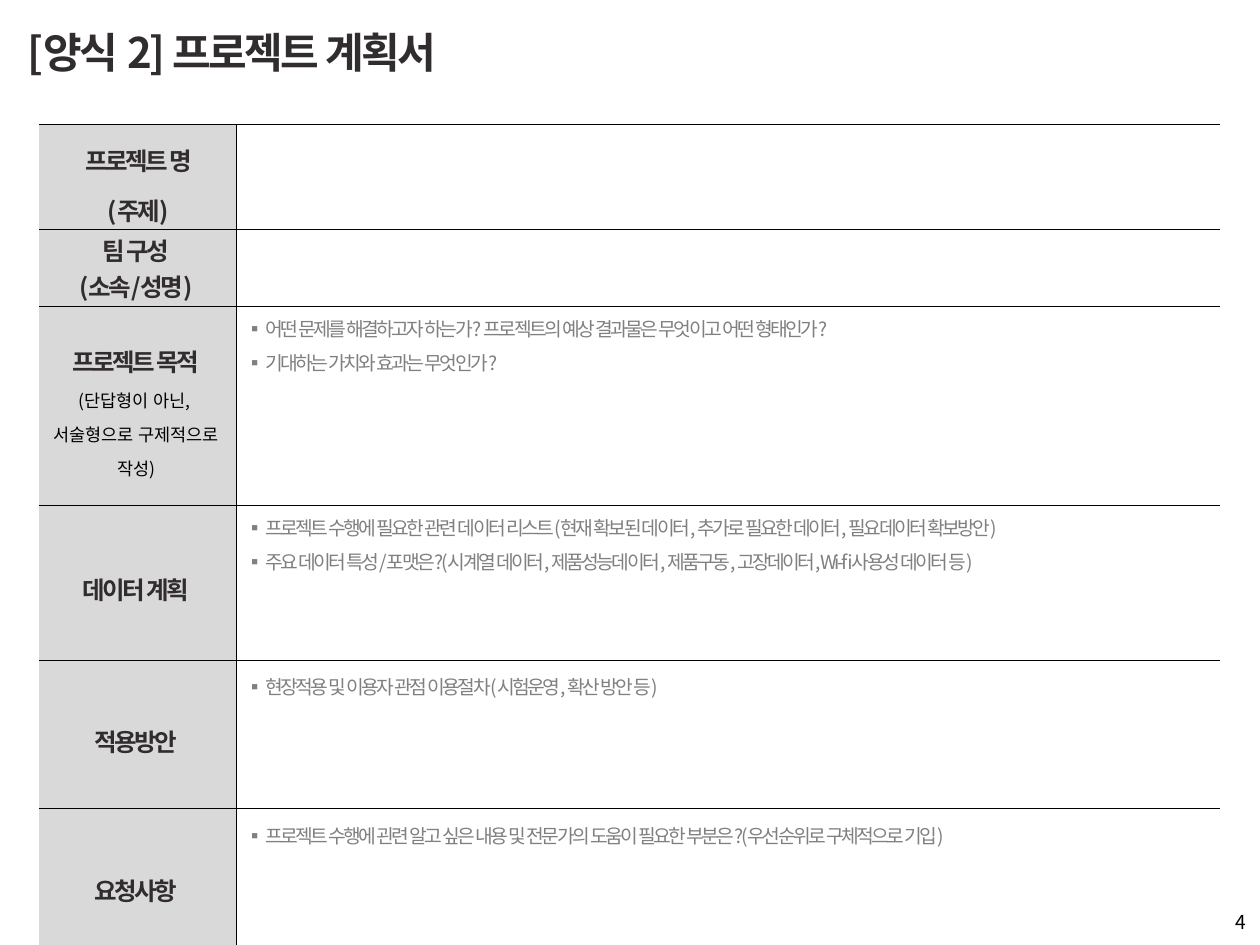
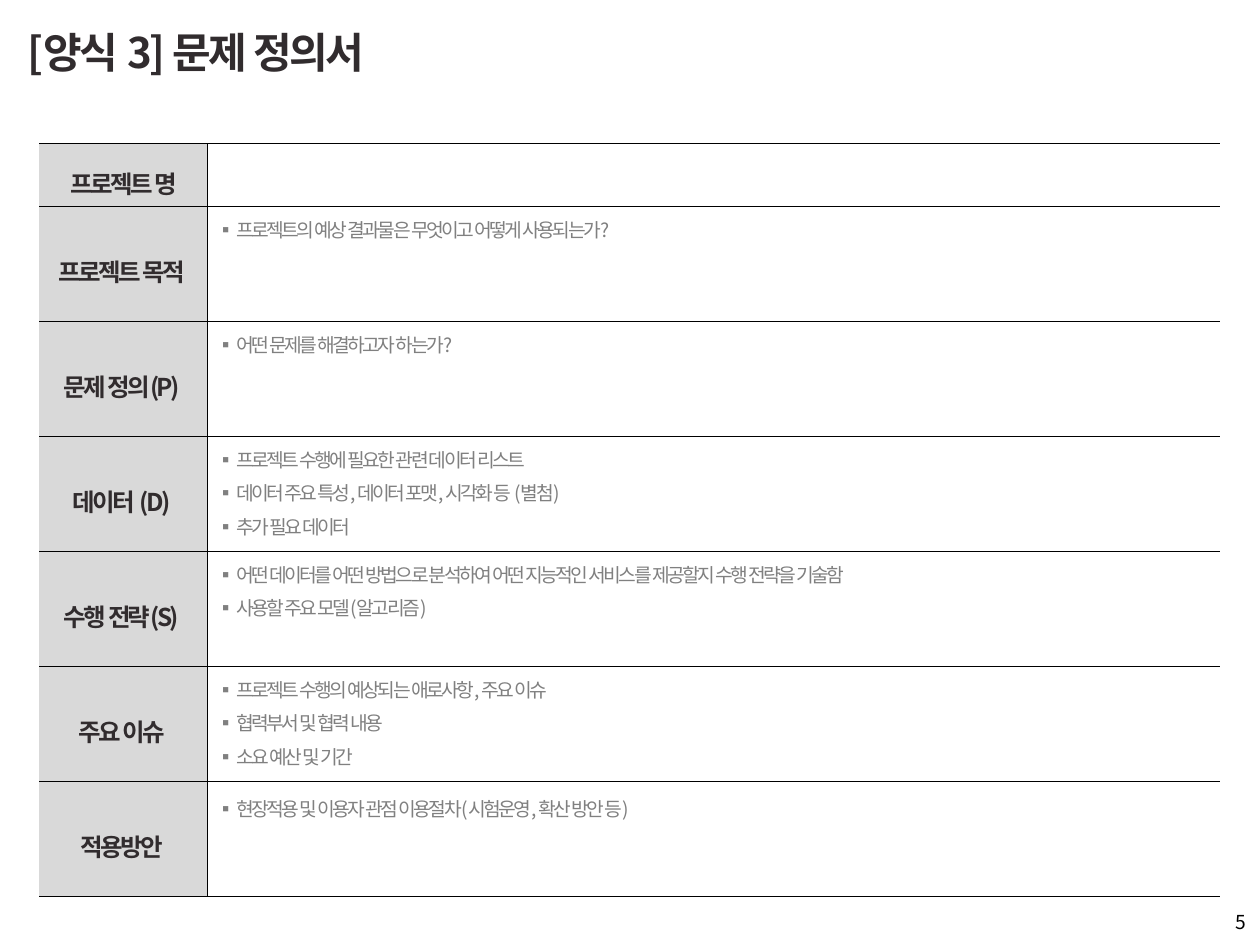
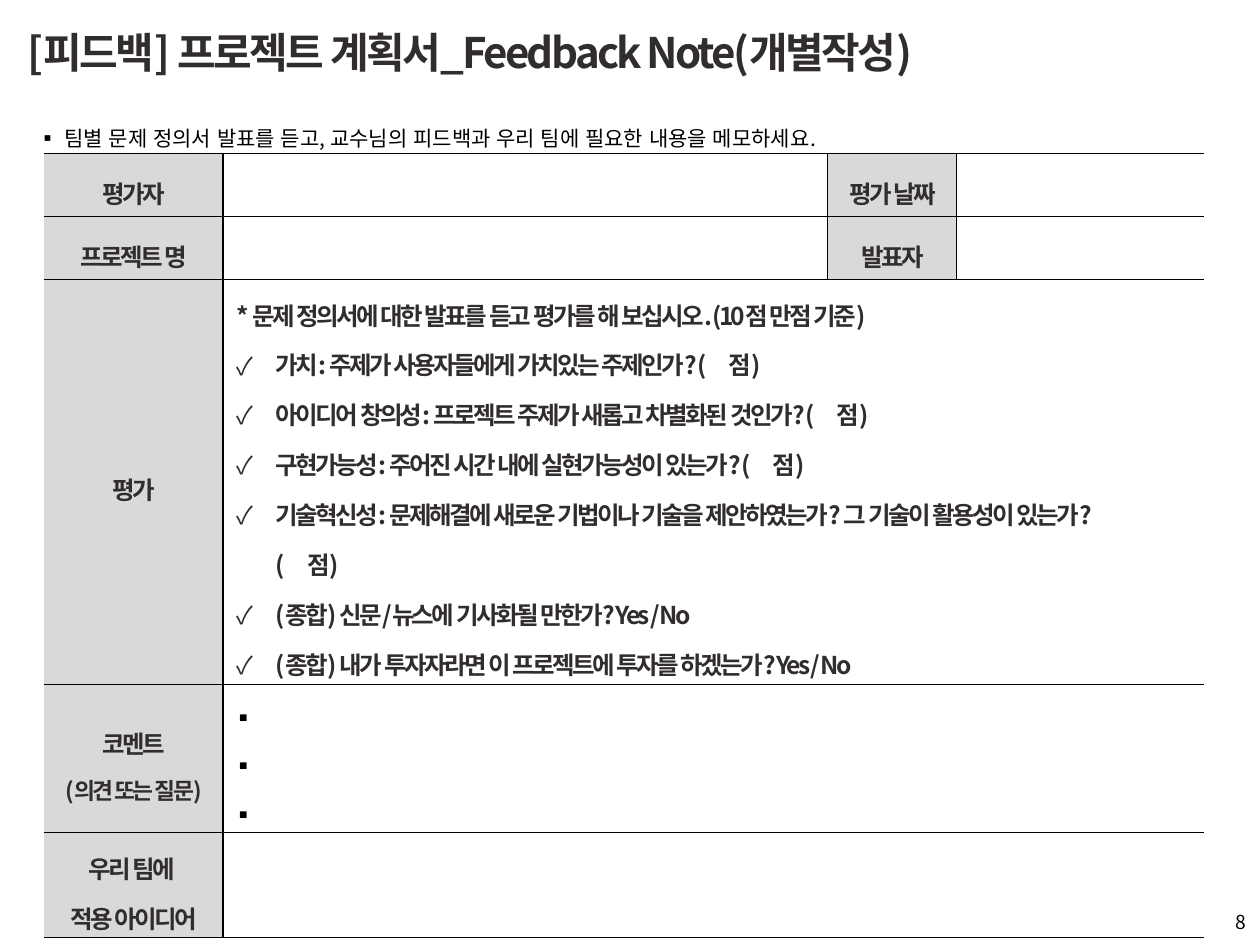
from lxml import etree
from pptx import Presentation
from pptx.dml.color import RGBColor
from pptx.enum import text as t
from pptx.oxml import ns
from pptx.util import Inches, Pt

FONT = "Noto Sans CJK KR"
INK, BLACK, GRAY, BAND = "312C2E", "000000", "808080", "D9D9D9"
LEFT, MID, RIGHT = t.PP_ALIGN.LEFT, t.PP_ALIGN.CENTER, t.PP_ALIGN.RIGHT
TIGHT = -1.5


def tint(code):
    return RGBColor.from_string(code)


def node(parent, tag, **attrs):
    return etree.SubElement(parent, ns.qn(tag), attrs)


def write(para, words, size=14, color=INK, bold=False, track=0, align=LEFT,
          gap=None, after=None, left=0, hang=0, mark=None):
    """Fill one paragraph; track is letter spacing in points, \\n breaks a line."""
    para.alignment = align
    if gap:
        para.line_spacing = gap
    if after:
        para.space_after = Pt(after)
    props = para._p.get_or_add_pPr()
    props.set("marL", str(Inches(left)))
    props.set("indent", str(Inches(hang)))
    if mark:
        node(props, "a:buFont", typeface=FONT)
        node(props, "a:buChar", char=mark)
    for i, line in enumerate(words.split("\n")):
        if i:
            para.add_line_break()
        run = para.add_run()
        run.text = line
        font = run.font
        font.size, font.bold, font.name = Pt(size), bold, FONT
        font.color.rgb = tint(color)
        style = run._r.get_or_add_rPr()
        style.set("lang", "ko-KR")
        style.set("kern", "0")
        style.set("spc", str(int(track * 100)))
        node(style, "a:ea", typeface=FONT)


def fill(frame, paras):
    """Write (words, format) pairs as the paragraphs of a frame."""
    for i, (words, form) in enumerate(paras):
        para = frame.add_paragraph() if i else frame.paragraphs[0]
        write(para, words, **form)


def label(*lines, **form):
    base = dict(bold=True, track=TIGHT, align=MID, gap=1.35)
    return [(line, {**base, **form}) for line in lines]


def head(*lines, **form):
    return label(*lines, **{"gap": 1.4, "left": 0.04, **form})


def ask(*lines, gap=1.2):
    form = dict(size=11, color=GRAY, track=TIGHT, gap=gap)
    return [("▪ " + line, form) for line in lines]


def edge(cell, sides):
    """Draw thin black lines on the named sides and none on the others."""
    props = cell._tc.get_or_add_tcPr()
    for side in "LRTB":
        line = node(props, "a:ln" + side, w=str(Pt(0.75)))
        if side in sides:
            paint = node(line, "a:solidFill")
            node(paint, "a:srgbClr", val=BLACK)
        else:
            node(line, "a:noFill")


def grid(slide, box, cols, rows, mid=False):
    """Add a form; a row with fewer cells spans its last one to the right edge."""
    high = sum(row[0] for row in rows)
    frame = slide.shapes.add_table(len(rows), len(cols),
                                   *map(Inches, (*box, sum(cols), high)))
    table = frame.table
    table.first_row = table.horz_banding = False
    for col, wide in zip(table.columns, cols):
        col.width = Inches(wide)
    last = len(cols) - 1
    for r, (tall, *cells) in enumerate(rows):
        table.rows[r].height = Inches(tall)
        end = len(cells) - 1
        if end < last:
            table.cell(r, end).merge(table.cell(r, last))
        for c in range(len(cols)):
            cell = table.cell(r, c)
            edge(cell, "TB" + "L" * (0 < c <= end) + "R" * (c < end))
            tag = c % 2 == 0 and c <= end
            if tag:
                cell.fill.solid()
                cell.fill.fore_color.rgb = tint(BAND)
            else:
                cell.fill.background()
            cell.margin_left = Inches(0.07)
            cell.margin_right = Inches(0.1 if tag else 0.07)
            cell.margin_top = cell.margin_bottom = Inches(0.02)
            if tag or mid:
                cell.vertical_anchor = t.MSO_ANCHOR.MIDDLE
            if c <= end:
                fill(cell.text_frame, cells[c])


def place(shape, box):
    shape.left, shape.top, shape.width, shape.height = map(Inches, box)


def note(slide, box, words, **form):
    frame = slide.shapes.add_textbox(*map(Inches, box)).text_frame
    frame.word_wrap = True
    write(frame.paragraphs[0], words, **form)
    return frame


def page(deck, title, number):
    slide = deck.slides.add_slide(deck.slide_layouts[5])
    name = slide.shapes.title
    place(name, (0.12, 0.13, 7.61, 0.56))
    frame = name.text_frame
    frame.auto_size = t.MSO_AUTO_SIZE.NONE
    frame.vertical_anchor = t.MSO_ANCHOR.MIDDLE
    write(frame.paragraphs[0], title, size=24, bold=True, track=TIGHT)
    foot = note(slide, (9.49, 7.12, 0.5, 0.4), str(number),
                size=11, color=BLACK, align=RIGHT)
    foot.vertical_anchor = t.MSO_ANCHOR.MIDDLE
    return slide


def plan(deck):
    slide = page(deck, "[양식 2] 프로젝트 계획서", 4)
    hint = label("(단답형이 아닌, ", "서술형으로 구제적으로 작성)",
                 size=10, color=BLACK, bold=False, track=0)
    grid(slide, (0.31, 0.99), (1.57, 7.8), [
        (0.83, head("프로젝트 명\n(주제)"), []),
        (0.61, label("팀 구성", "(소속/성명)", gap=None), []),
        (1.58, label("프로젝트 목적") + hint,
         ask("어떤 문제를 해결하고자 하는가? 프로젝트의 예상 결과물은 무엇이고 어떤 형태인가?",
             "기대하는 가치와 효과는 무엇인가?")),
        (1.23, label("데이터 계획"),
         ask("프로젝트 수행에 필요한 관련 데이터 리스트(현재 확보된 데이터, "
             "추가로 필요한 데이터, 필요데이터 확보방안)",
             "주요 데이터 특성/포맷은?(시계열 데이터, 제품성능데이터, 제품구동, "
             "고장데이터, Wi-fi 사용성 데이터 등)")),
        (1.18, label("적용방안"),
         ask("현장적용 및 이용자 관점 이용절차(시험운영, 확산 방안 등)", gap=1.35)),
        (1.18, label("요청사항"),
         ask("프로젝트 수행에 괸련 알고 싶은 내용 및 전문가의 도움이 필요한 "
             "부분은?(우선순위로 구체적으로 기입)", gap=1.35)),
    ])


def define(deck):
    slide = page(deck, "[양식 3] 문제 정의서", 5)
    parts = [
        (label("프로젝트 목적"),
         ask("프로젝트의 예상 결과물은 무엇이고 어떻게 사용되는가?")),
        (label("문제 정의(P)"), ask("어떤 문제를 해결하고자 하는가?")),
        (label("데이터 (D)"),
         ask("프로젝트 수행에 필요한 관련 데이터 리스트",
             "데이터 주요 특성, 데이터 포맷, 시각화 등 (별첨)",
             "추가 필요 데이터")),
        (label("수행 전략(S)"),
         ask("어떤 데이터를 어떤 방법으로 분석하여 어떤 지능적인 서비스를 "
             "제공할지 수행 전략을 기술함",
             "사용할 주요 모델(알고리즘)")),
        (label("주요 이슈"),
         ask("프로젝트 수행의 예상되는 애로사항, 주요 이슈",
             "협력부서 및 협력 내용", "소요 예산 및 기간")),
        (label("적용방안"),
         ask("현장적용 및 이용자 관점 이용절차(시험운영, 확산 방안 등)", gap=1.35)),
    ]
    rows = [(0.5, head("프로젝트 명"), [])]
    rows += [(5.48 / len(parts), *part) for part in parts]
    grid(slide, (0.31, 1.14), (1.34, 8.03), rows)


def review(deck):
    slide = page(deck, "[피드백] 프로젝트 계획서_Feedback Note(개별작성)", 8)
    intro = note(slide, (0.2, 0.85, 8.95, 0.4),
                 "▪ 팀별 문제 정의서 발표를 듣고, 교수님의 피드백과 "
                 "우리 팀에 필요한 내용을 메모하세요.",
                 size=12, color=BLACK, gap=1.5, after=3)
    intro.auto_size = t.MSO_AUTO_SIZE.SHAPE_TO_FIT_TEXT
    lead = head("* 문제 정의서에 대한 발표를 듣고 평가를 해 보십시오. (10점 만점 기준)",
                align=LEFT)
    checks = head(
        "가치: 주제가 사용자들에게 가치있는 주제인가? (　점)",
        "아이디어 창의성: 프로젝트 주제가 새롭고 차별화된 것인가? (　점)",
        "구현가능성: 주어진 시간 내에 실현가능성이 있는가? (　점)",
        "기술혁신성: 문제해결에 새로운 기법이나 기술을 제안하였는가? "
        "그 기술이 활용성이 있는가?\n(　점)",
        "(종합) 신문/뉴스에 기사화될 만한가? Yes / No",
        "(종합) 내가 투자자라면 이 프로젝트에 투자를 하겠는가? Yes / No",
        align=LEFT, left=0.35, hang=-0.31, mark="✓")
    dots = [("▪", dict(color=BLACK, gap=1.35))] * 3
    grid(slide, (0.35, 1.22), (1.42, 4.8, 1.02, 1.97), [
        (0.5, head("평가자"), [], head("평가 날짜"), []),
        (0.5, head("프로젝트 명"), [], head("발표자"), []),
        (3.21, head("평가"), lead + checks),
        (1.18, head("코멘트") + head("(의견 또는 질문)", size=13), dots),
        (0.83, head("우리 팀에 ", "적용 아이디어"), []),
    ], mid=True)


def main():
    deck = Presentation()
    deck.slide_width, deck.slide_height = Inches(10), Inches(7.5)
    for build in (plan, define, review):
        build(deck)
    deck.save("out.pptx")


if __name__ == "__main__":
    main()
